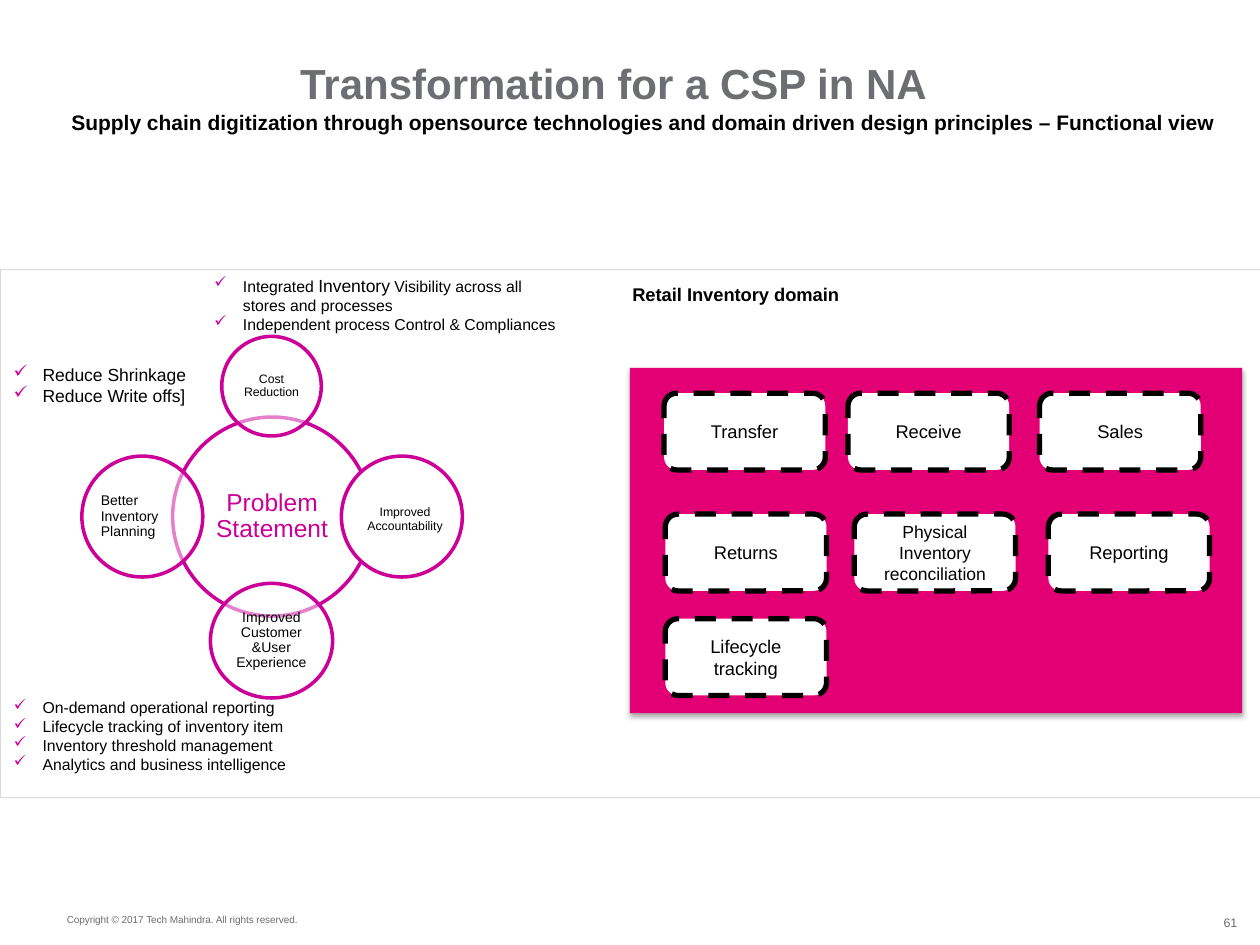
import dataclasses

import lxml.etree
import pptx
import pptx.dml.color
import pptx.enum.dml
import pptx.enum.shapes
import pptx.enum.text
import pptx.oxml.ns
import pptx.util

COLUMNS, ROWS = 100, 75
SHAPE = pptx.enum.shapes.MSO_SHAPE
ALIGN = pptx.enum.text.PP_ALIGN
ANCHOR = pptx.enum.text.MSO_ANCHOR
qn = pptx.oxml.ns.qn


@dataclasses.dataclass(frozen=True)
class Theme:
    font: str = "Arial"
    ink: str = "000000"
    paper: str = "FFFFFF"
    grey: str = "6D6E71"
    frame: str = "D9D9D9"
    panel: str = "E20074"
    accent: str = "CC0099"
    title: float = 24
    hub: float = 14
    subtitle: float = 12
    heading: float = 10.5
    body: float = 10
    detail: float = 9
    petal: float = 8
    small: float = 7
    number: float = 7.1
    copyright: float = 5.7


@dataclasses.dataclass(frozen=True)
class Box:
    left: float
    top: float
    width: float
    height: float

    def at(self, column, row, width, height):
        return Box(self.left + column, self.top + row, width, height)

    def emu(self):
        unit = pptx.util.Inches(10) / COLUMNS
        sides = (self.left, self.top, self.width, self.height)
        return [round(side * unit) for side in sides]


THEME = Theme()


def rgb(value):
    return pptx.dml.color.RGBColor.from_string(value)


def style_run(run, size, color, bold=False):
    run.font.name = THEME.font
    run.font.size = pptx.util.Pt(size)
    run.font.bold = bold
    run.font.color.rgb = rgb(color)


def fill_text(frame, text, size, color=THEME.ink, align=ALIGN.LEFT,
              bold=False, anchor=ANCHOR.TOP, inset=None, wrap=True):
    frame.text = text
    frame.word_wrap = wrap
    frame.vertical_anchor = anchor
    if inset is not None:
        frame.margin_left = frame.margin_right = pptx.util.Inches(inset)
        frame.margin_top = frame.margin_bottom = pptx.util.Inches(inset)
    for paragraph in frame.paragraphs:
        paragraph.alignment = align
        for run in paragraph.runs:
            style_run(run, size, color, bold)


def add_label(slide, box, text, size, **style):
    label = slide.shapes.add_textbox(*box.emu())
    fill_text(label.text_frame, text, size, **style)


def add_outline(slide, box, preset, fill, line=None, weight=1):
    outline = slide.shapes.add_shape(preset, *box.emu())
    outline.shadow.inherit = False
    outline.fill.solid()
    outline.fill.fore_color.rgb = rgb(fill)
    if line:
        outline.line.color.rgb = rgb(line)
        outline.line.width = pptx.util.Pt(weight)
    else:
        outline.line.fill.background()
    return outline


def make_translucent(outline, percent):
    color = outline.fill._xPr.find(f".//{qn('a:srgbClr')}")
    lxml.etree.SubElement(color, qn("a:alpha"), val=str(percent * 1000))


def add_drop_shadow(outline):
    effects = outline._element.spPr.find(qn("a:effectLst"))
    shadow = lxml.etree.SubElement(
        effects, qn("a:outerShdw"), blurRad=str(pptx.util.Pt(3.1)),
        dist=str(pptx.util.Pt(1.8)), dir="5400000", rotWithShape="0")
    color = lxml.etree.SubElement(shadow, qn("a:srgbClr"), val=THEME.ink)
    lxml.etree.SubElement(color, qn("a:alpha"), val="35000")


def add_checklist(slide, box, items, size, larger_word=None):
    frame = slide.shapes.add_textbox(*box.emu()).text_frame
    frame.word_wrap = True
    for index, item in enumerate(items):
        paragraph = frame.add_paragraph() if index else frame.paragraphs[0]
        properties = paragraph._p.get_or_add_pPr()
        indent = pptx.util.Inches(0.23)
        properties.set("marL", str(indent))
        properties.set("indent", str(-indent))
        bullet_color = lxml.etree.SubElement(properties, qn("a:buClr"))
        lxml.etree.SubElement(bullet_color, qn("a:srgbClr"), val=THEME.accent)
        lxml.etree.SubElement(properties, qn("a:buChar"), char="✓")
        parts = item.partition(larger_word) if larger_word else [item]
        for part in filter(None, parts):
            run = paragraph.add_run()
            run.text = part
            style_run(run, THEME.body if part == larger_word else size, THEME.ink)


def add_header(slide, box):
    add_label(slide, box.at(3.6, 4.6, 92.9, 3),
              "Supply chain digitization through opensource technologies and "
              "domain driven design principles – Functional view",
              THEME.subtitle, bold=True, align=ALIGN.RIGHT, inset=0)
    add_label(slide, box.at(0, 0, 97.4, 5), "Transformation for a CSP in NA",
              THEME.title, color=THEME.grey, bold=True, align=ALIGN.CENTER)


def add_footer(slide, box):
    add_label(slide, box.at(5.3, 0, 18.8, 1),
              "Copyright © 2017 Tech Mahindra. All rights reserved.",
              THEME.copyright, color=THEME.grey, inset=0, wrap=False)
    add_label(slide, box.at(97, 0.1, 1.2, 1.2), "61", THEME.number,
              color=THEME.grey, align=ALIGN.RIGHT, anchor=ANCHOR.MIDDLE,
              inset=0, wrap=False)


def add_domain(slide, box):
    add_label(slide, box.at(-0.8, -7.2, 46.8, 2.8), "Retail Inventory domain",
              THEME.heading, bold=True)
    panel = add_outline(slide, box, SHAPE.RECTANGLE, THEME.panel)
    add_drop_shadow(panel)
    capability_rows = [
        (2, [(2.7, "Transfer"), (17.3, "Receive"), (32.5, "Sales")]),
        (11.6, [(2.8, "Returns"), (17.8, "Physical Inventory reconciliation"),
                (33.2, "Reporting")]),
        (19.9, [(2.8, "Lifecycle tracking")]),
    ]
    for row, capabilities in capability_rows:
        for column, name in capabilities:
            tile = add_outline(slide, box.at(column, row, 12.8, 6.1),
                               SHAPE.ROUNDED_RECTANGLE, THEME.paper, THEME.ink, 3)
            tile.line.dash_style = pptx.enum.dml.MSO_LINE.DASH
            size = THEME.body if name.startswith("Physical") else THEME.heading
            fill_text(tile.text_frame, name, size, align=ALIGN.CENTER,
                      anchor=ANCHOR.MIDDLE)


def add_problem_wheel(slide, box):
    centre, left = ALIGN.CENTER, ALIGN.LEFT
    circles = [
        (7.2, 6.4, 15.8, 15.8, "Problem Statement", THEME.hub, THEME.accent, centre),
        (11.1, 0, 7.9, 7.9, "Cost Reduction", THEME.small, THEME.ink, centre),
        (20.6, 9.5, 9.6, 9.6, "", THEME.small, THEME.ink, centre),
        (10.2, 19.6, 9.7, 9.1, "Improved Customer &User Experience",
         THEME.petal, THEME.ink, centre),
        (0, 9.5, 9.6, 9.6, "Better Inventory Planning", THEME.petal, THEME.ink, left),
    ]
    for column, row, width, height, text, size, color, align in circles:
        circle = add_outline(slide, box.at(column, row, width, height),
                             SHAPE.OVAL, THEME.paper, THEME.accent, 2)
        if text:
            make_translucent(circle, 50)
            fill_text(circle.text_frame, text, size, color=color, align=align,
                      anchor=ANCHOR.MIDDLE, inset=0.01)
            circle.text_frame.paragraphs[0].line_spacing = 0.9
    add_label(slide, box.at(21.5, 12.8, 8.3, 3.4), "Improved Accountability",
              THEME.small, align=centre)


def add_benefits(slide, box):
    add_checklist(slide, box.at(0.1, 7.1, 21, 4.4),
                  ["Reduce Shrinkage", "Reduce Write offs]"], THEME.body)
    add_checklist(slide, box.at(16, 0, 29.2, 5.7),
                  ["Integrated Inventory Visibility across all stores and processes",
                   "Independent process Control & Compliances"],
                  THEME.detail, larger_word="Inventory")
    add_checklist(slide, box.at(0.1, 33.6, 30.6, 8.6),
                  ["On-demand operational reporting",
                   "Lifecycle tracking of inventory item",
                   "Inventory threshold management",
                   "Analytics and business intelligence"], THEME.detail)


def main():
    deck = pptx.Presentation()
    deck.slide_width = pptx.util.Inches(10)
    deck.slide_height = pptx.util.Inches(7.5)
    slide = deck.slides.add_slide(deck.slide_layouts[6])
    page = Box(0, 0, COLUMNS, ROWS)
    add_footer(slide, page.at(0, 72.5, COLUMNS, 2.5))
    add_outline(slide, page.at(0, 21.4, COLUMNS, 41.9), SHAPE.RECTANGLE,
                THEME.paper, THEME.frame, 0.25)
    add_header(slide, page.at(0, 4.1, COLUMNS, 7.6))
    add_domain(slide, page.at(50, 29.2, 48.6, 27.4))
    add_problem_wheel(slide, page.at(6.5, 26.7, 30.2, 28.7))
    add_benefits(slide, page.at(0, 21.3, 50, 42.2))
    deck.save("out.pptx")


if __name__ == "__main__":
    main()
